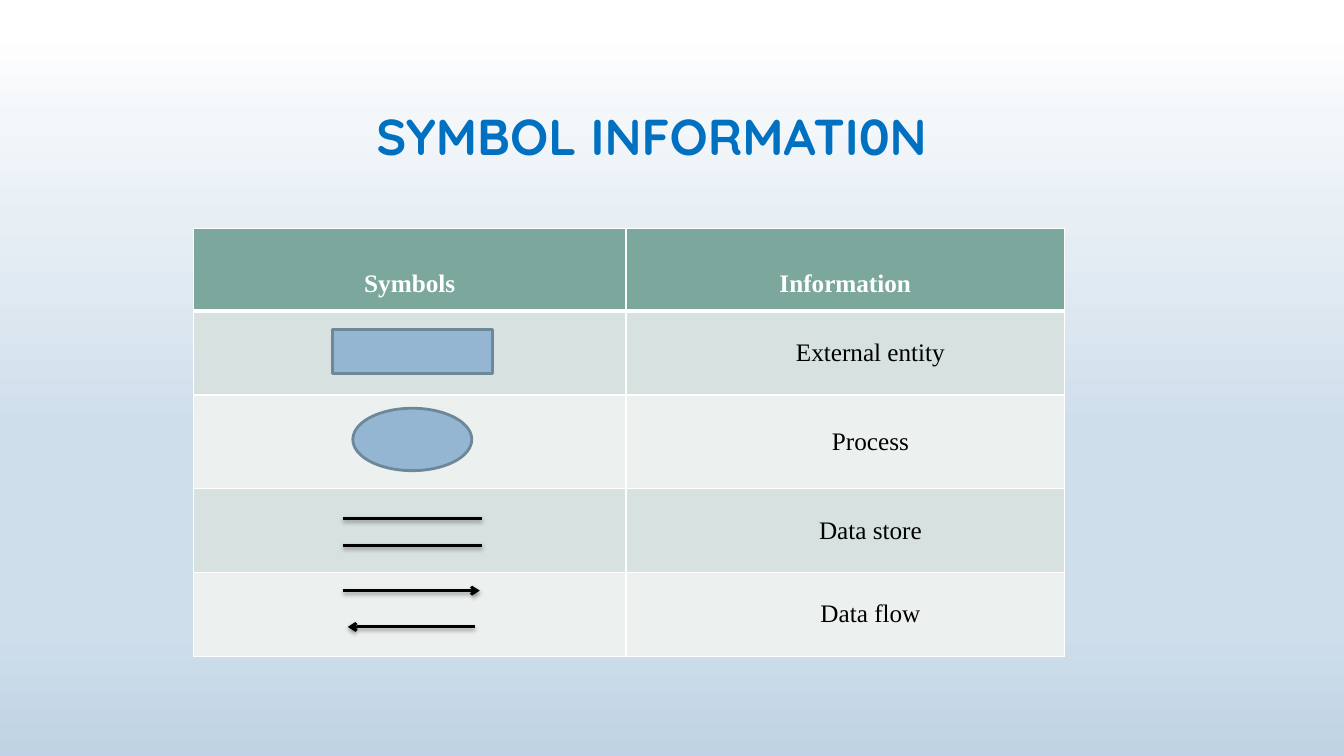
from dataclasses import dataclass

from pptx import Presentation
from pptx.dml.color import RGBColor
from pptx.enum.shapes import MSO_CONNECTOR, MSO_SHAPE
from pptx.enum.text import MSO_ANCHOR, PP_ALIGN
from pptx.oxml import parse_xml
from pptx.oxml.ns import nsdecls, qn
from pptx.slide import Slide
from pptx.table import _Cell as Cell
from pptx.text.text import TextFrame
from pptx.util import Pt


@dataclass(frozen=True)
class Theme:
    title_font: str = "Quicksand"
    body_font: str = "Times New Roman"
    title_size: float = 36
    body_size: float = 18
    title: str = "0070C0"
    white: str = "FFFFFF"
    black: str = "000000"
    header: str = "7BA79D"
    bands: tuple = ("D7E1DF", "ECF1EF")
    symbol_fill: str = "94B6D2"
    symbol_line: str = "6D879B"
    line_width: float = 2
    background: tuple = ((4, "FFFFFF"), (16, "F3F7FA"), (29, "E7EFF5"),
                         (57, "CFDEEB"), (83, "CFDEEB"), (100, "BFD3E4"))


@dataclass(frozen=True)
class Symbol:
    kind: MSO_SHAPE
    left: float
    top: float
    width: float
    height: float


@dataclass(frozen=True)
class Stroke:
    start: float
    end: float
    y: float
    arrow: bool = False


THEME = Theme()
HEADINGS = ("Symbols", "Information")
MEANINGS = ("External entity", "Process", "Data store", "Data flow")
COLUMN_WIDTHS = (308.9, 313.4)
ROW_HEIGHTS = (59, 59.8, 67, 59.8, 59.8)
SYMBOLS = (
    Symbol(MSO_SHAPE.RECTANGLE, 237.6, 235.4, 114.5, 31.7),
    Symbol(MSO_SHAPE.OVAL, 252, 291.6, 85, 44.6),
)
STROKES = (
    Stroke(244.8, 344.2, 370.1),
    Stroke(244.8, 344.2, 389.5),
    Stroke(244.8, 342.7, 421.9, arrow=True),
    Stroke(339.1, 248.4, 447.8, arrow=True),
)


def rgb(color: str) -> RGBColor:
    return RGBColor.from_string(color)


def write(frame: TextFrame, text: str, font: str, size: float, color: str,
          bold: bool, align: PP_ALIGN, spacing: float) -> None:
    frame.text = text
    para = frame.paragraphs[0]
    para.alignment = align
    para.line_spacing = spacing
    span = para.runs[0]
    span.font.name = font
    span.font.size = Pt(size)
    span.font.bold = bold
    span.font.color.rgb = rgb(color)


def paint_background(page: Slide) -> None:
    fill = page.background.fill
    fill.gradient()
    fill.gradient_angle = 270
    stops = page.element.find(".//" + qn("a:gsLst"))
    for stop in list(stops):
        stops.remove(stop)
    for percent, color in THEME.background:
        stops.append(parse_xml(
            f'<a:gs {nsdecls("a")} pos="{percent * 1000}">'
            f'<a:srgbClr val="{color}"/></a:gs>'))


def add_title(page: Slide) -> None:
    box = page.shapes.title
    box.left, box.top, box.width, box.height = Pt(91.4), Pt(47.5), Pt(776.9), Pt(104.4)
    frame = box.text_frame
    frame.word_wrap = True
    frame.vertical_anchor = MSO_ANCHOR.MIDDLE
    frame.margin_left = Pt(177.5)
    write(frame, "SYMBOL INFORMATI0N", THEME.title_font, THEME.title_size,
          THEME.title, True, PP_ALIGN.LEFT, 0.9)


def format_cell(cell: Cell, fill: str, top: float, bottom: float) -> None:
    cell.vertical_anchor = MSO_ANCHOR.MIDDLE
    cell.fill.solid()
    cell.fill.fore_color.rgb = rgb(fill)
    properties = cell._tc.get_or_add_tcPr()
    for index, (side, width) in enumerate(
            (("L", 1), ("R", 1), ("T", top), ("B", bottom))):
        properties.insert(index, parse_xml(
            f'<a:ln{side} {nsdecls("a")} w="{Pt(width)}"><a:solidFill>'
            f'<a:srgbClr val="{THEME.white}"/></a:solidFill></a:ln{side}>'))


def add_symbol_table(page: Slide) -> None:
    table = page.shapes.add_table(
        len(ROW_HEIGHTS), len(COLUMN_WIDTHS), Pt(138.2), Pt(163.4),
        Pt(sum(COLUMN_WIDTHS)), Pt(sum(ROW_HEIGHTS))).table
    for column, width in zip(table.columns, COLUMN_WIDTHS):
        column.width = Pt(width)
    for row, height in zip(table.rows, ROW_HEIGHTS):
        row.height = Pt(height)

    # Header row
    for column, heading in enumerate(HEADINGS):
        cell = table.cell(0, column)
        format_cell(cell, THEME.header, 1, 3)
        write(cell.text_frame, heading, THEME.body_font, THEME.body_size,
              THEME.white, True, PP_ALIGN.CENTER, 2.0)

    # Banded rows: symbol cell, then its meaning
    for row, meaning in enumerate(MEANINGS, start=1):
        band = THEME.bands[(row - 1) % 2]
        for column in range(len(COLUMN_WIDTHS)):
            format_cell(table.cell(row, column), band, 3 if row == 1 else 1, 1)
        frame = table.cell(row, 1).text_frame
        write(frame, meaning, THEME.body_font, THEME.body_size,
              THEME.black, False, PP_ALIGN.CENTER, 1.0)
        indent = frame.paragraphs[0]._p.get_or_add_pPr()
        indent.set("marL", str(Pt(36)))
        indent.set("indent", "0")


def add_symbol(page: Slide, symbol: Symbol) -> None:
    shape = page.shapes.add_shape(symbol.kind, Pt(symbol.left), Pt(symbol.top),
                                  Pt(symbol.width), Pt(symbol.height))
    shape.shadow.inherit = False
    shape.fill.solid()
    shape.fill.fore_color.rgb = rgb(THEME.symbol_fill)
    shape.line.color.rgb = rgb(THEME.symbol_line)
    shape.line.width = Pt(THEME.line_width)


def add_stroke(page: Slide, stroke: Stroke) -> None:
    connector = page.shapes.add_connector(
        MSO_CONNECTOR.STRAIGHT, Pt(stroke.start), Pt(stroke.y),
        Pt(stroke.end), Pt(stroke.y))
    connector.line.color.rgb = rgb(THEME.black)
    connector.line.width = Pt(THEME.line_width)
    properties = connector._element.spPr
    if stroke.arrow:
        properties.find(qn("a:ln")).append(
            parse_xml(f'<a:tailEnd {nsdecls("a")} type="arrow"/>'))
    properties.append(parse_xml(
        f'<a:effectLst {nsdecls("a")}><a:outerShdw blurRad="{Pt(3.1)}" '
        f'dist="{Pt(1.6)}" dir="5400000" rotWithShape="0">'
        f'<a:srgbClr val="{THEME.black}"><a:alpha val="38000"/></a:srgbClr>'
        f'</a:outerShdw></a:effectLst>'))


def main() -> None:
    deck = Presentation()
    deck.slide_width, deck.slide_height = Pt(960), Pt(540)
    page = deck.slides.add_slide(deck.slide_layouts[5])
    paint_background(page)
    add_title(page)
    add_symbol_table(page)
    for symbol in SYMBOLS:
        add_symbol(page, symbol)
    for stroke in STROKES:
        add_stroke(page, stroke)
    deck.save("out.pptx")


if __name__ == "__main__":
    main()
